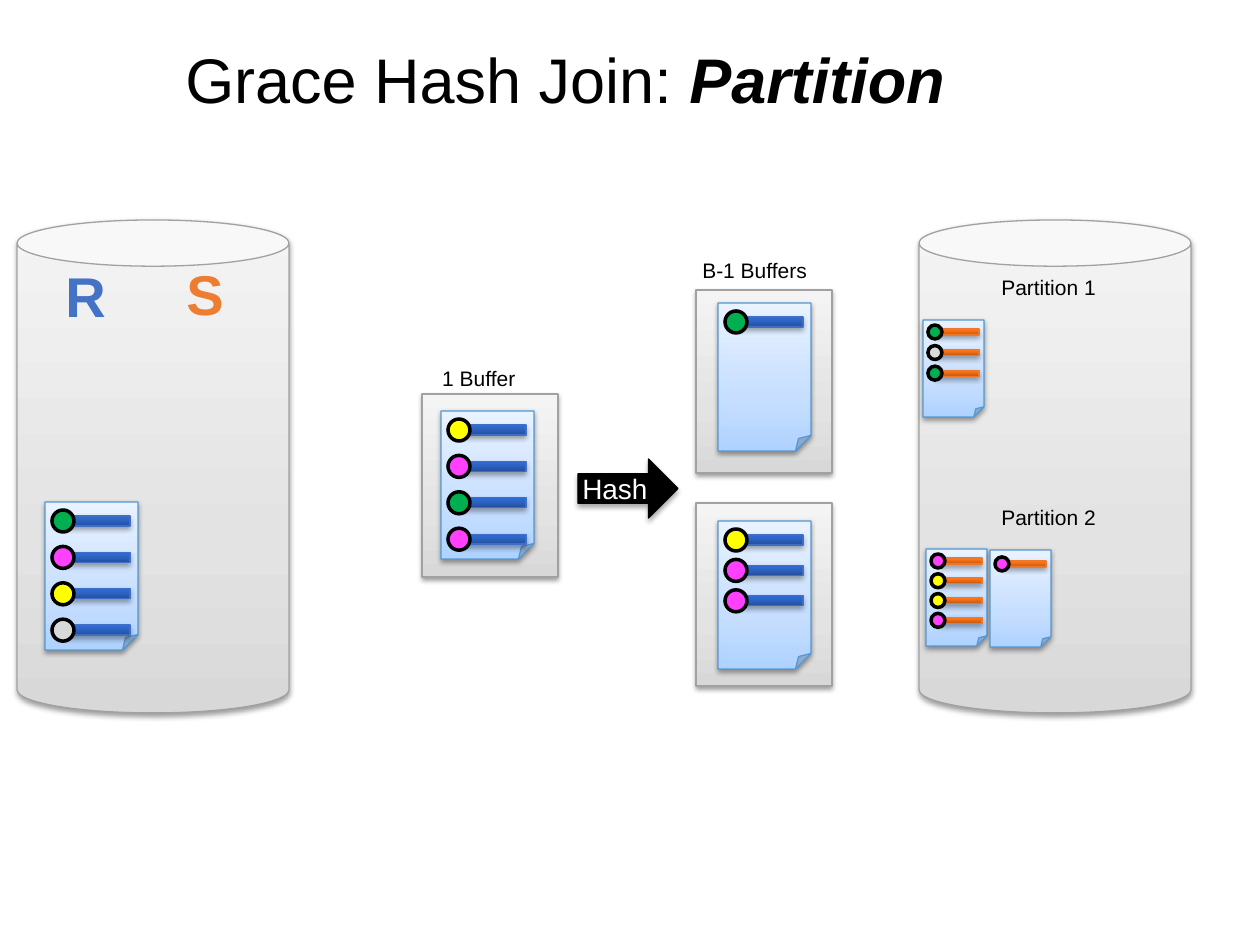
from lxml.etree import SubElement
from pptx import Presentation
from pptx.dml.color import RGBColor
from pptx.enum.shapes import MSO_SHAPE
from pptx.enum.text import MSO_ANCHOR, MSO_AUTO_SIZE, PP_ALIGN
from pptx.oxml.ns import qn
from pptx.util import Inches, Pt

SCALE = Inches(1) / 126

THEME = {
    "font": "Arial",
    "title": 36, "letter": 32, "arrow": 16, "label": 12,
    "black": "000000", "white": "FFFFFF",
    "R": "4472C4", "S": "ED7D31",
    "metal": (((0, "D8D8D8"), (35, "E3E3E3"), (100, "F4F4F4")), "A1A1A1"),
    "paper": (((0, "AFD2FF"), (35, "C6DEFF"), (100, "E9F2FF")), "5698D3"),
    "R bar": (((0, "24509E"), (80, "2F69D0"), (100, "2C69D4")), "3F6EC3"),
    "S bar": (((0, "C3580F"), (80, "FF7416"), (100, "FF7517")), "EC792B"),
    "green": "00B050", "pink": "FF40FF", "yellow": "FFFF00", "grey": "D9D9D9",
    "soft": (38, 3, 1.6), "firm": (35, 3, 1.8),  # alpha %, blur pt, distance pt
}

TITLE = (("Grace Hash Join:", False), (" Partition", True))
TITLE_BOX = (179, 0, 987, 157)

DISKS = [(17, 220, 272, 493), (919, 220, 272, 493)]
BUFFERS = [(696, 290, 136, 183), (696, 503, 136, 183), (422, 394, 136, 183)]
ARROW = (578, 459, 100, 59)

# page size, record bar and key dot, measured from the page's left edge
SIZES = {
    "R": {"page": (93, 148), "bar": (19, 66, 10), "dot": (7, 22)},
    "S": {"page": (61, 97), "bar": (13, 43, 6), "dot": (5, 14)},
}

# relation, left, top, first record, step, keys
PAGES = [
    ("R", 45, 502, 19, 36.4, ["green", "pink", "yellow", "grey"]),
    ("R", 441, 411, 19, 36.4, ["yellow", "pink", "green", "pink"]),
    ("R", 718, 303, 19, 30.4, ["green"]),
    ("R", 718, 521, 19, 30.4, ["yellow", "pink", "pink"]),
    ("S", 923, 320, 12, 20.6, ["green", "grey", "green"]),
    ("S", 926, 549, 12, 19.8, ["pink", "yellow", "yellow", "pink"]),
    ("S", 990, 550, 14, 19.8, ["pink"]),
]

# text, box, type size, colour, bold
LABELS = [
    ("B-1 Buffers", (696, 251, 121, 37), "label", "black", False),
    ("1 Buffer", (436, 359, 88, 37), "label", "black", False),
    ("R", (59, 255, 54, 79), "letter", "R", True),
    ("S", (180, 253, 50, 79), "letter", "S", True),
    ("Hash", (576, 465, 79, 43), "arrow", "white", False),
    ("Partition 1", (995, 268, 110, 37), "label", "black", False),
    ("Partition 2", (995, 498, 110, 37), "label", "black", False),
]


def emu(box):
    return [round(n * SCALE) for n in box]


def tint(name):
    return RGBColor.from_string(THEME[name])


def grade(shape, stops):
    """Fill with a gradient that runs from bottom to top."""
    shape.fill.gradient()
    shape.fill.gradient_angle = 90
    rows = next(shape.element.iter(qn("a:gsLst")))
    for row in list(rows):
        rows.remove(row)
    for spot, code in stops:
        row = SubElement(rows, qn("a:gs"), pos=str(spot * 1000))
        SubElement(row, qn("a:srgbClr"), val=code)


def shade(shape, name):
    alpha, blur, dist = THEME[name]
    effect = shape.element.spPr.find(qn("a:effectLst"))
    outer = SubElement(effect, qn("a:outerShdw"), blurRad=str(Pt(blur)),
                       dist=str(Pt(dist)), dir="5400000", rotWithShape="0")
    color = SubElement(outer, qn("a:srgbClr"), val=THEME["black"])
    SubElement(color, qn("a:alpha"), val=str(alpha * 1000))


def draw(slide, kind, box, look, shadow=None, line=0.75):
    """Add a shape; look names a gradient with its outline, or a plain colour."""
    shape = slide.shapes.add_shape(kind, *emu(box))
    shape.shadow.inherit = False
    style = THEME[look]
    if isinstance(style, tuple):
        stops, edge = style
        grade(shape, stops)
    else:
        edge = THEME["black"]
        shape.fill.solid()
        shape.fill.fore_color.rgb = tint(look)
    shape.line.color.rgb = RGBColor.from_string(edge)
    shape.line.width = Pt(line)
    if shadow:
        shade(shape, shadow)
    return shape


def inset(frame):
    frame.margin_left = frame.margin_right = Inches(0.05)
    frame.margin_top = frame.margin_bottom = Inches(0.05)


def style(run, size, color, bold=False, italic=False):
    font = run.font
    font.name, font.size = THEME["font"], Pt(THEME[size])
    font.color.rgb = tint(color)
    font.bold, font.italic = bold, italic


def head(slide):
    title = slide.shapes.title
    title.left, title.top, title.width, title.height = emu(TITLE_BOX)
    frame = title.text_frame
    inset(frame)
    frame.vertical_anchor = MSO_ANCHOR.MIDDLE
    para = frame.paragraphs[0]
    para.alignment = PP_ALIGN.LEFT
    for text, strong in TITLE:
        run = para.add_run()
        run.text = text
        style(run, "title", "black", strong, strong)


def label(slide, text, box, size, color, bold):
    frame = slide.shapes.add_textbox(*emu(box)).text_frame
    inset(frame)
    frame.word_wrap = False
    frame.auto_size = MSO_AUTO_SIZE.SHAPE_TO_FIT_TEXT
    frame.text = text
    style(frame.paragraphs[0].runs[0], size, color, bold)


def page(slide, kind, left, top, first, step, keys):
    """Draw a page of records, each a bar with a coloured key dot."""
    size = SIZES[kind]
    draw(slide, MSO_SHAPE.FOLDED_CORNER, (left, top, *size["page"]), "paper", "soft")
    inner, wide, high = size["bar"]
    edge, dot = size["dot"]
    for i, key in enumerate(keys):
        mid = top + first + i * step
        draw(slide, MSO_SHAPE.RECTANGLE, (left + inner, mid - high / 2, wide, high),
             kind + " bar", "firm")
        draw(slide, MSO_SHAPE.OVAL, (left + edge, mid - dot / 2, dot, dot), key, line=2)


def main():
    deck = Presentation()
    deck.slide_width, deck.slide_height = Inches(10), Inches(7.5)
    slide = deck.slides.add_slide(deck.slide_layouts[5])
    head(slide)
    for box in DISKS:
        disk = draw(slide, MSO_SHAPE.CAN, box, "metal", "soft")
        disk.adjustments[0] = 0.17
    for box in BUFFERS:
        draw(slide, MSO_SHAPE.RECTANGLE, box, "metal", "soft")
    draw(slide, MSO_SHAPE.RIGHT_ARROW, ARROW, "black", "firm")
    for item in PAGES:
        page(slide, *item)
    for item in LABELS:
        label(slide, *item)
    deck.save("out.pptx")


if __name__ == "__main__":
    main()
